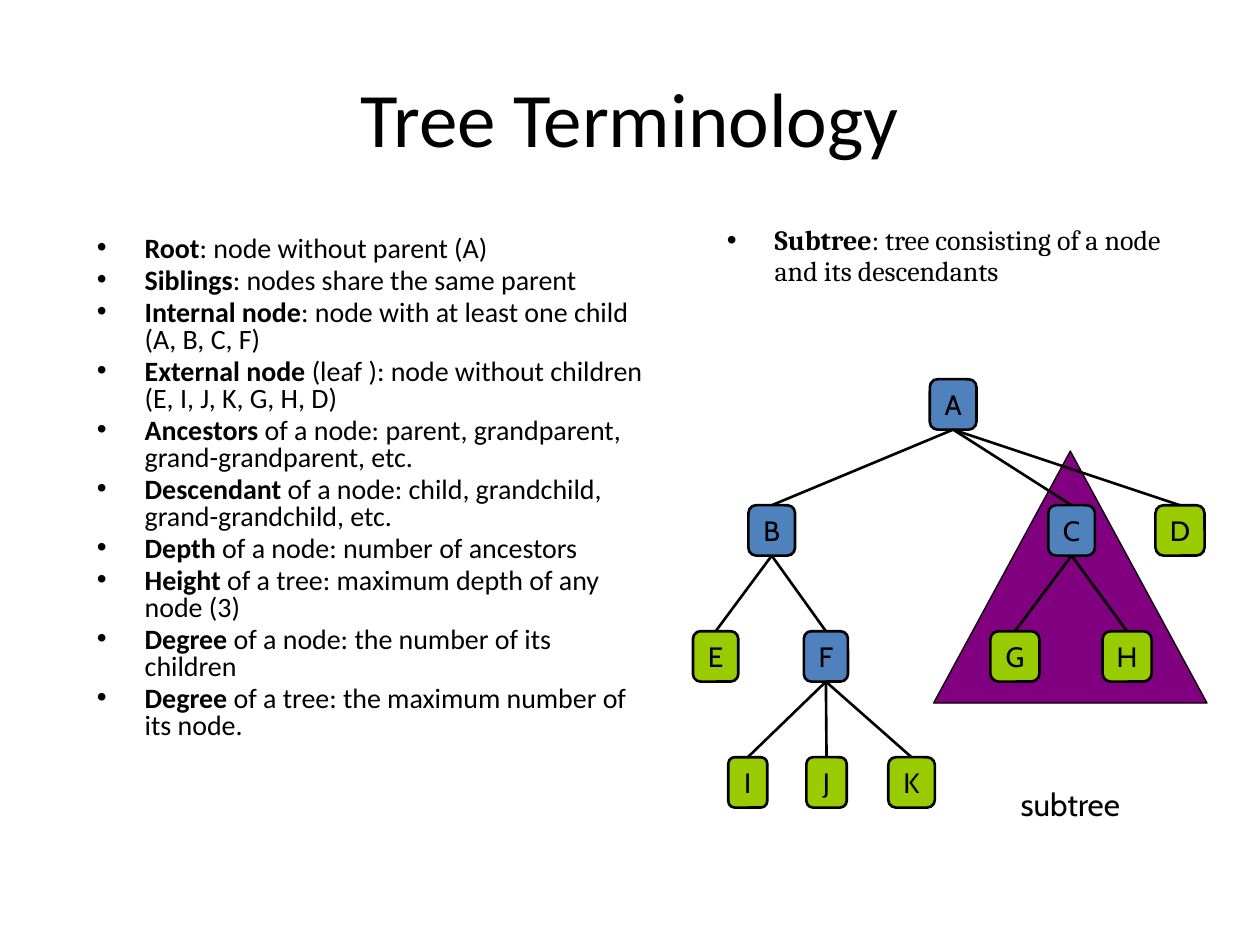
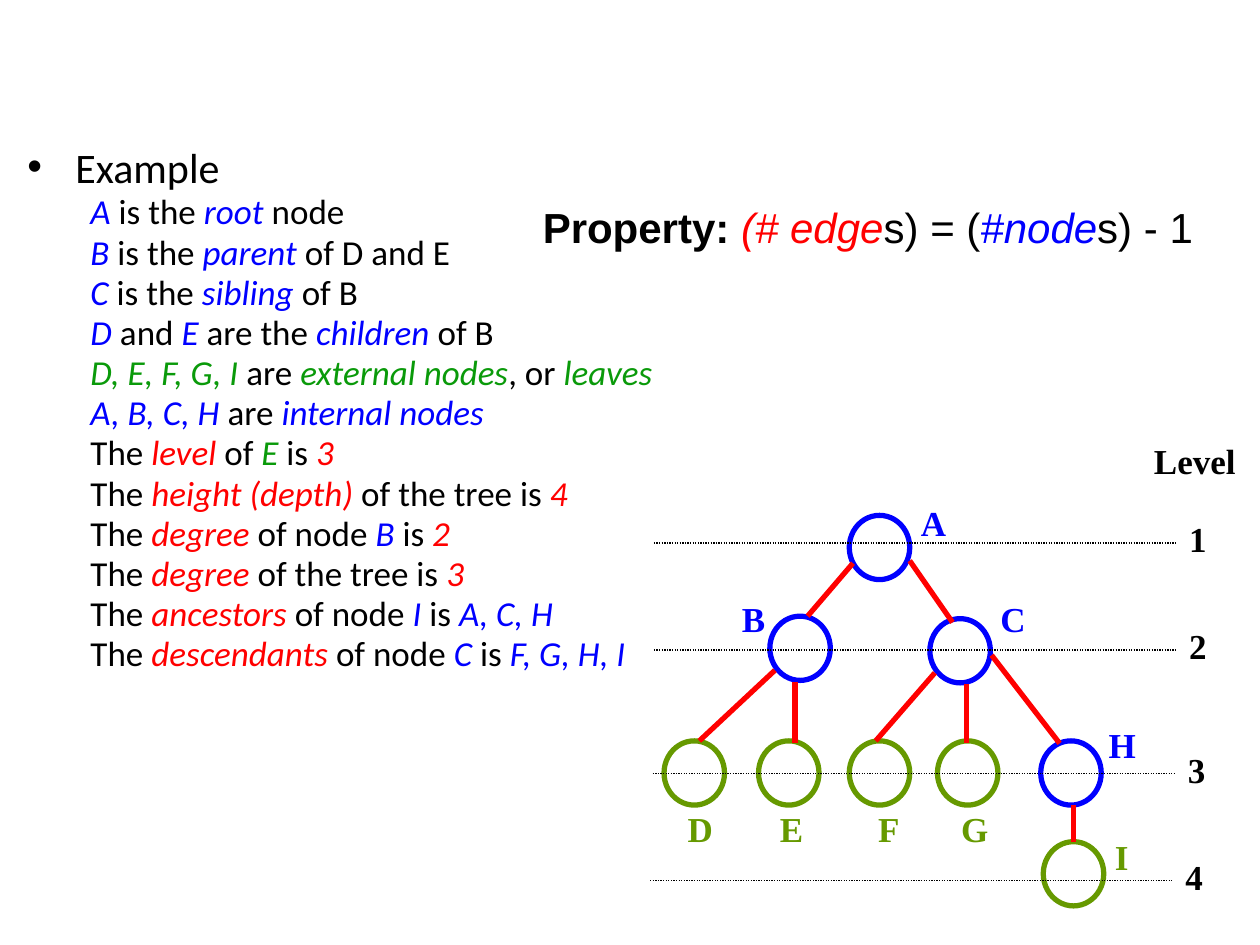
from lxml import etree
from pptx import Presentation
from pptx.dml.color import RGBColor
from pptx.enum.dml import MSO_LINE
from pptx.enum.shapes import MSO_CONNECTOR as CONNECTOR, MSO_SHAPE as SHAPE
from pptx.enum.text import MSO_ANCHOR as ANCHOR, PP_ALIGN as ALIGN
from pptx.oxml.ns import qn
from pptx.util import Pt

PX = 9144  # 100 px to the inch
BLACK, BLUE, RED, GREEN = "000000", "0000FF", "FF0000", "0A9A0A"
INNER, LEAF, PURPLE, OLIVE = "4F81BD", "99CC00", "800080", "669900"
MARKS = {
    "s": dict(bold=True),
    "b": dict(color=BLUE, italic=True),
    "r": dict(color=RED, italic=True),
    "g": dict(color=GREEN, italic=True),
}


def rgb(value):
    return RGBColor.from_string(value)


def split_marks(text):
    """Yield (text, format) runs; {bwords} takes the format MARKS['b']."""
    plain, *marked = text.split("{")
    yield plain, {}
    for part in marked:
        styled, _, plain = part.partition("}")
        yield styled[1:], MARKS[styled[0]]
        yield plain, {}


def write(frame, text, font="Calibri", size=16, color=BLACK, bold=False, align=ALIGN.LEFT,
          anchor=ANCHOR.TOP, wrap=True, bullet=False, margin=0, indent=0, spacing=None, before=0):
    """Add one paragraph per line of text to the frame."""
    frame.word_wrap, frame.vertical_anchor = wrap, anchor
    for line in text.split("\n"):
        first = not frame.text
        paragraph = frame.paragraphs[0] if first else frame.add_paragraph()
        if margin:
            properties = paragraph._p.get_or_add_pPr()
            properties.set("marL", str(margin * PX))
            properties.set("indent", str(indent * PX))
            if bullet:
                etree.SubElement(properties, qn("a:buFont")).set("typeface", "Arial")
                etree.SubElement(properties, qn("a:buChar")).set("char", "•")
        paragraph.alignment = align
        if spacing:
            paragraph.line_spacing = spacing
        if not first:
            paragraph.space_before = Pt(before)
        for words, mark in split_marks(line):
            if not words:
                continue
            run = paragraph.add_run()
            run.text = words
            run.font.name, run.font.size = font, Pt(size)
            run.font.bold = mark.get("bold", bold)
            run.font.italic = mark.get("italic", False)
            run.font.color.rgb = rgb(mark.get("color", color))


class Deck:
    bullets = dict(bullet=True, margin=38, indent=-38)

    def __init__(self):
        self.file = Presentation()
        self.file.slide_width, self.file.slide_height = 1000 * PX, 750 * PX
        self.slide = None

    def new_slide(self):
        self.slide = self.file.slides.add_slide(self.file.slide_layouts[6])

    def text(self, x, y, w, h, text, **style):
        box = self.slide.shapes.add_textbox(x * PX, y * PX, w * PX, h * PX)
        write(box.text_frame, text, **style)
        return box.text_frame

    def shape(self, kind, x, y, w, h, fill=None, line=BLACK, width=1.5):
        shape = self.slide.shapes.add_shape(kind, x * PX, y * PX, w * PX, h * PX)
        shape.shadow.inherit = False
        if fill:
            shape.fill.solid()
            shape.fill.fore_color.rgb = rgb(fill)
        else:
            shape.fill.background()
        shape.line.color.rgb, shape.line.width = rgb(line), Pt(width)
        return shape

    def line(self, x1, y1, x2, y2, color=BLACK, width=1.5, dash=None):
        line = self.slide.shapes.add_connector(
            CONNECTOR.STRAIGHT, x1 * PX, y1 * PX, x2 * PX, y2 * PX)
        line.line.color.rgb, line.line.width = rgb(color), Pt(width)
        if dash:
            line.line.dash_style = dash
        etree.SubElement(line._element.spPr, qn("a:effectLst"))
        return line

    def join(self, parent, child):
        """Draw an edge from the bottom of parent to the top of child."""
        edge = self.line(0, 0, 0, 0)
        edge.begin_connect(parent, 2)
        edge.end_connect(child, 0)


TERMS = """{sRoot}: node without parent (A)
{sSiblings}: nodes share the same parent
{sInternal node}: node with at least one child (A, B, C, F)
{sExternal node} (leaf ): node without children (E, I, J, K, G, H, D)
{sAncestors} of a node: parent, grandparent, grand-grandparent, etc.
{sDescendant} of a node: child, grandchild, grand-grandchild, etc.
{sDepth} of a node: number of ancestors
{sHeight} of a tree: maximum depth of any node (3)
{sDegree} of a node: the number of its children
{sDegree} of a tree: the maximum number of its node."""

CHILDREN = {"A": "BCD", "B": "EF", "C": "GH", "F": "IJK"}
# name: centre x, width; one row per depth
TREE_ROWS = [
    {"A": (756, 37)},
    {"B": (612, 37), "C": (850, 37), "D": (936, 39)},
    {"E": (568, 36), "F": (655, 35), "G": (805, 39), "H": (894, 39)},
    {"I": (593, 31), "J": (656, 32), "K": (723, 37)},
]

FACTS = """{bA }is the {broot }node
{bB }is the {bparent }of D and E
{bC }is the {bsibling }of B
{bD }and {bE }are the {bchildren }of B
{gD, E, F, G, I} are {gexternal nodes}, or {gleaves}
{bA, B, C, H }are {binternal nodes}
The {rlevel} of {gE }is {r3}
The {rheight (depth) }of the tree is {r4}
The {rdegree }of node {bB }is {r2}
The {rdegree }of the tree is {r3}
The {rancestors }of node {bI }is{b A, C, H}
The {rdescendants }of node {bC }is {bF, G, H, I}"""

# name: circle x, y, label x, y
CIRCLES = {
    "A": (674, 409, 721, 393), "B": (611, 489, 579, 469), "C": (738, 491, 784, 469),
    "D": (527, 588, 536, 636), "E": (602, 588, 609, 636), "F": (674, 588, 687, 636),
    "G": (744, 588, 753, 636), "H": (826, 588, 870, 569), "I": (828, 668, 875, 658),
}
EDGES = [
    (677, 447, 641, 489), (722, 445, 756, 494), (615, 532, 555, 588), (631, 541, 631, 590),
    (742, 534, 695, 588), (767, 543, 767, 590), (787, 520, 841, 590), (852, 639, 852, 668),
]
LEVELS = [(519, 431), (519, 516), (518, 614), (516, 699)]


def terminology_slide(deck):
    deck.new_slide()
    subtree = deck.shape(SHAPE.ISOSCELES_TRIANGLE, 741, 358, 217, 200, PURPLE, width=0.75)
    subtree.text_frame.margin_top, subtree.text_frame.margin_bottom = 290 * PX, 0
    write(subtree.text_frame, "subtree", font="Cabin", size=18, align=ALIGN.CENTER,
          anchor=ANCHOR.BOTTOM, wrap=False)
    deck.text(50, 30, 900, 125, "Tree Terminology", size=44, align=ALIGN.CENTER,
              anchor=ANCHOR.MIDDLE)
    deck.text(67, 183, 458, 517, TERMS, spacing=0.8, before=3, **deck.bullets)
    deck.text(567, 175, 383, 108, "{sSubtree}: tree consisting of a node and its descendants",
              font="Cambria", spacing=0.9, **deck.bullets)

    nodes = {}
    for depth, row in enumerate(TREE_ROWS):
        for name, (center, width) in row.items():
            fill = INNER if name in CHILDREN else LEAF
            nodes[name] = deck.shape(SHAPE.ROUNDED_RECTANGLE, center - width // 2,
                                     301 + 100 * depth, width, 40, fill)
            write(nodes[name].text_frame, name, font="Cabin", align=ALIGN.CENTER,
                  anchor=ANCHOR.MIDDLE, wrap=False)
    for parent, children in CHILDREN.items():
        for child in children:
            deck.join(nodes[parent], nodes[child])


def example_slide(deck):
    deck.new_slide()
    label = dict(font="Times New Roman", size=20, bold=True)
    example = deck.text(12, 115, 900, 449, "Example", size=24, spacing=0.8, **deck.bullets)
    write(example, FACTS, size=20, margin=81, indent=-31, spacing=0.8, before=3.75)

    for name, (x, y, label_x, label_y) in CIRCLES.items():
        color = BLUE if name in "ABCH" else OLIVE
        deck.shape(SHAPE.OVAL, x, y, 48, 51, line=color, width=3)
        deck.text(label_x, label_y, 45, 43, name, color=color, **label)
    for edge in EDGES:
        deck.line(*edge, color=RED, width=3)

    deck.text(906, 344, 90, 43, "Level", **label)
    for level, (x, y) in enumerate(LEVELS, 1):
        deck.line(x, y, x + 415, y, width=0.75, dash=MSO_LINE.ROUND_DOT)
        deck.text(x + 415, y - 25, 40, 43, str(level), **label)
    deck.text(421, 155, 550, 50, "{sProperty: }{r(# edge}s) = ({b#node}s) - 1",
              font="Arial", size=24)


def main():
    deck = Deck()
    terminology_slide(deck)
    example_slide(deck)
    deck.file.save("out.pptx")


if __name__ == "__main__":
    main()
